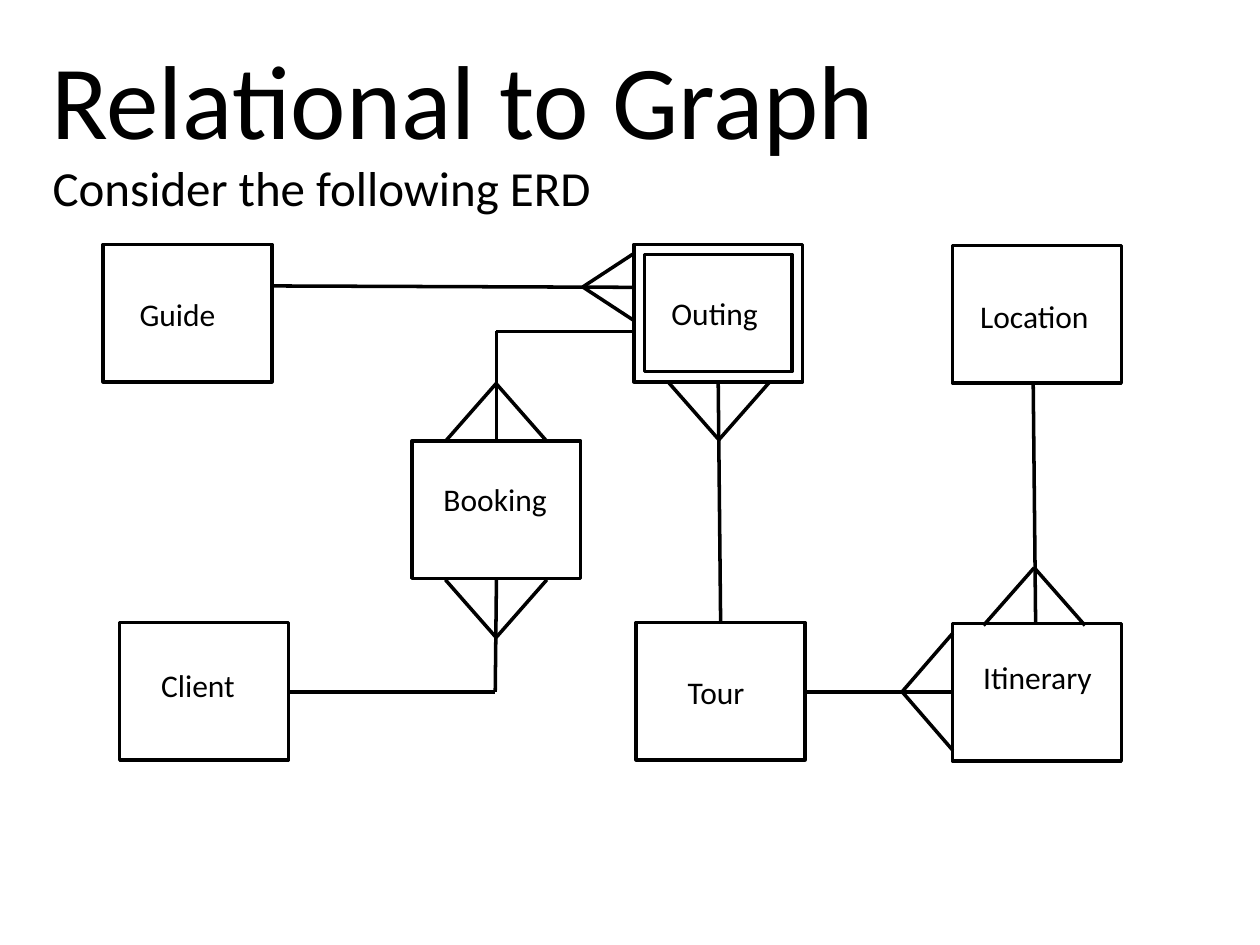
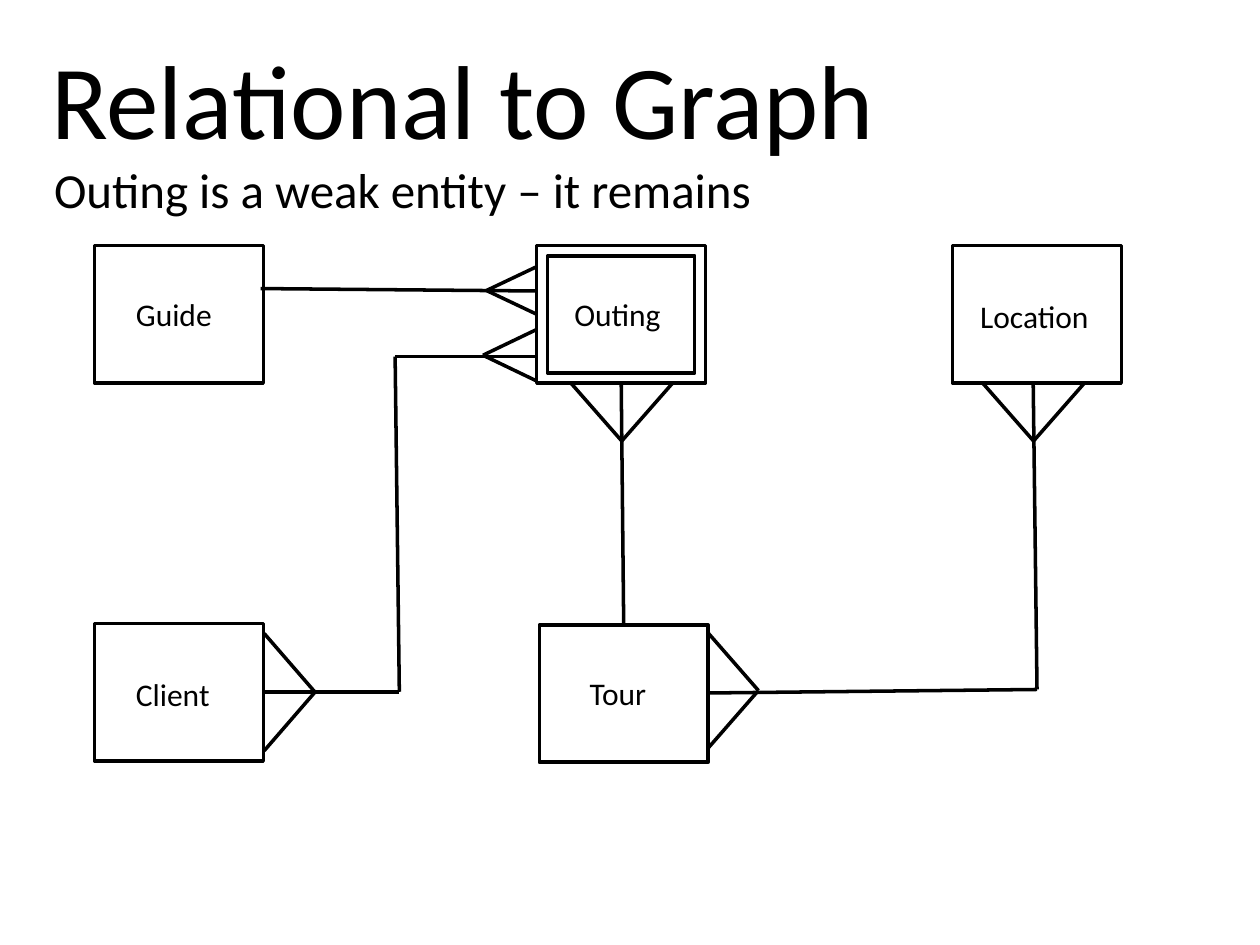
from dataclasses import dataclass
from itertools import pairwise
from lxml.etree import SubElement
from pptx import Presentation
from pptx.dml.color import RGBColor as RGB
from pptx.enum.shapes import MSO_CONNECTOR as LINK, MSO_SHAPE as SHAPE
from pptx.enum.text import MSO_ANCHOR as ANCHOR, MSO_AUTO_SIZE as FIT, PP_ALIGN as ALIGN
from pptx.oxml.ns import qn
from pptx.util import Pt


@dataclass(frozen=True)
class Theme:
    """Colours, type sizes and measures in points."""
    ink: RGB = RGB(0, 0, 0)
    paper: RGB = RGB(255, 255, 255)
    font: str = "Calibri"
    head: int = 60
    lead: int = 28
    label: int = 18
    stroke: int = 2
    wide: float = 96.5
    high: float = 78.5


class Deck:
    """Draws entity diagrams on the current slide."""

    def __init__(self, theme):
        self.theme = theme
        self.show = Presentation()
        self.show.slide_width, self.show.slide_height = Pt(720), Pt(540)
        self.slide = None

    def page(self, lead, x, y, wide):
        """Start a slide with the shared title and its lead line."""
        self.slide = self.show.slides.add_slide(self.show.slide_layouts[6])
        fill = self.slide.background.fill
        fill.solid()
        fill.fore_color.rgb = self.theme.paper
        title = self.text("Relational to Graph", 22.3, 16.6, 602, 78.5, self.theme.head)
        title.vertical_anchor = ANCHOR.MIDDLE
        frame = self.text(lead, x, y, wide, 41, self.theme.lead)
        frame.word_wrap = False
        frame.auto_size = FIT.SHAPE_TO_FIT_TEXT

    def text(self, words, x, y, wide, high, size, align=ALIGN.LEFT):
        """Add one line of text and return its frame."""
        frame = self.slide.shapes.add_textbox(Pt(x), Pt(y), Pt(wide), Pt(high)).text_frame
        frame.word_wrap = True
        line = frame.paragraphs[0]
        line.alignment = align
        run = line.add_run()
        run.text = words
        run.font.name = self.theme.font
        run.font.size = Pt(size)
        run.font.color.rgb = self.theme.ink
        return frame

    def frame(self, x, y, inset_x=0, inset_y=0):
        """Outline a box, shrunk by the insets on each side."""
        wide, high = self.theme.wide - 2 * inset_x, self.theme.high - 2 * inset_y
        shape = self.slide.shapes.add_shape(
            SHAPE.RECTANGLE, Pt(x + inset_x), Pt(y + inset_y), Pt(wide), Pt(high))
        shape.shadow.inherit = False
        shape.fill.background()
        self.ink(shape.line)

    def box(self, name, x, y, dx, dy, wide, weak=False, align=ALIGN.LEFT):
        """Draw an entity, its label set off by dx and dy; weak ones get a double frame."""
        self.text(name, x + dx, y + dy, wide, 29, self.theme.label, align)
        self.frame(x, y)
        if weak:
            self.frame(x, y, 6.2, 5.8)

    def ink(self, line):
        """Apply the shared stroke."""
        line.color.rgb = self.theme.ink
        line.width = Pt(self.theme.stroke)

    def route(self, *spots):
        """Join the spots with straight lines."""
        for start, end in pairwise(spots):
            ends = [Pt(value) for value in (*start, *end)]
            link = self.slide.shapes.add_connector(LINK.STRAIGHT, *ends)
            self.ink(link.line)
            SubElement(link._element.spPr, qn("a:effectLst"))

    def foot(self, x, y, dx=0, dy=0, half=29):
        """Draw a crow's foot from its tip towards an entity."""
        side, rise = (0, half) if dx else (half, 0)
        self.route((x + dx - side, y + dy - rise), (x, y), (x + dx + side, y + dy + rise))


def first(deck):
    """Draw the full relational diagram."""
    deck.page("Consider the following ERD", 23, 86.4, 332)
    deck.box("Guide", 59, 139.7, 13.7, 25.2, 62.6)
    deck.box("Outing", 362.2, 139.7, 14.4, 24.5, 67.7, weak=True)
    deck.box("Location", 544.3, 140.4, 8.7, 25.9, 79.2)
    deck.box("Booking", 235.4, 252, -0.7, 18.7, 96.5, align=ALIGN.CENTER)
    deck.box("Client", 68.4, 355.7, 16.6, 21.6, 62.6)
    deck.box("Tour", 363.6, 355.7, 22.3, 25.2, 51.8)
    deck.box("Itinerary", 544.3, 356.4, 0.7, 15.8, 95.8, align=ALIGN.CENTER)
    deck.route((154.8, 163.4), (362.2, 164.2))
    deck.foot(333, 164, dx=29, half=19)
    deck.route((283.7, 252), (283.7, 189.4), (363.6, 189.4))
    deck.foot(283.5, 219.2, dy=33)
    deck.route((164.2, 395.3), (283, 395.3), (283.7, 330.5))
    deck.foot(283.5, 364.3, dy=-33)
    deck.route((411.8, 355.7), (410.4, 218.2))
    deck.foot(410.8, 251.3, dy=-33)
    deck.route((460, 395.3), (544.3, 395.3))
    deck.foot(515.5, 395.3, dx=29, half=33.5)
    deck.route((591.8, 356.4), (590.4, 218.9))
    deck.foot(591, 324.4, dy=33)


def second(deck):
    """Draw the diagram with the linking entities dropped."""
    deck.page("Outing is a weak entity – it remains", 23.8, 87.8, 418)
    deck.box("Guide", 54, 140.4, 16.6, 24.5, 62.6)
    deck.box("Outing", 306.7, 140.4, 14.4, 24.5, 67.7, weak=True)
    deck.box("Location", 544.3, 140.4, 8.7, 25.9, 79.2)
    deck.box("Client", 54, 356.4, 16.6, 25.9, 62.6)
    deck.box("Tour", 308.2, 357.1, 21.6, 24.5, 51.8)
    deck.route((149, 164.9), (306.7, 166.3))
    deck.foot(278, 166, dx=28.5, half=13.5)
    deck.route((150.5, 395.3), (228.2, 395.3), (225.8, 203.8), (306, 203.8))
    deck.foot(276, 203, dx=30, half=14.4)
    deck.foot(180, 395.5, dx=-29, half=33.5)
    deck.route((356.4, 357.1), (355, 218.9))
    deck.foot(355.3, 252, dy=-33)
    deck.route((404, 396), (592.6, 394), (590.4, 218.9))
    deck.foot(433.4, 394.6, dx=-29, half=33.2)
    deck.foot(590.6, 252, dy=-33)


def main():
    """Build both slides and save them."""
    deck = Deck(Theme())
    first(deck)
    second(deck)
    deck.show.save("out.pptx")


if __name__ == "__main__":
    main()
